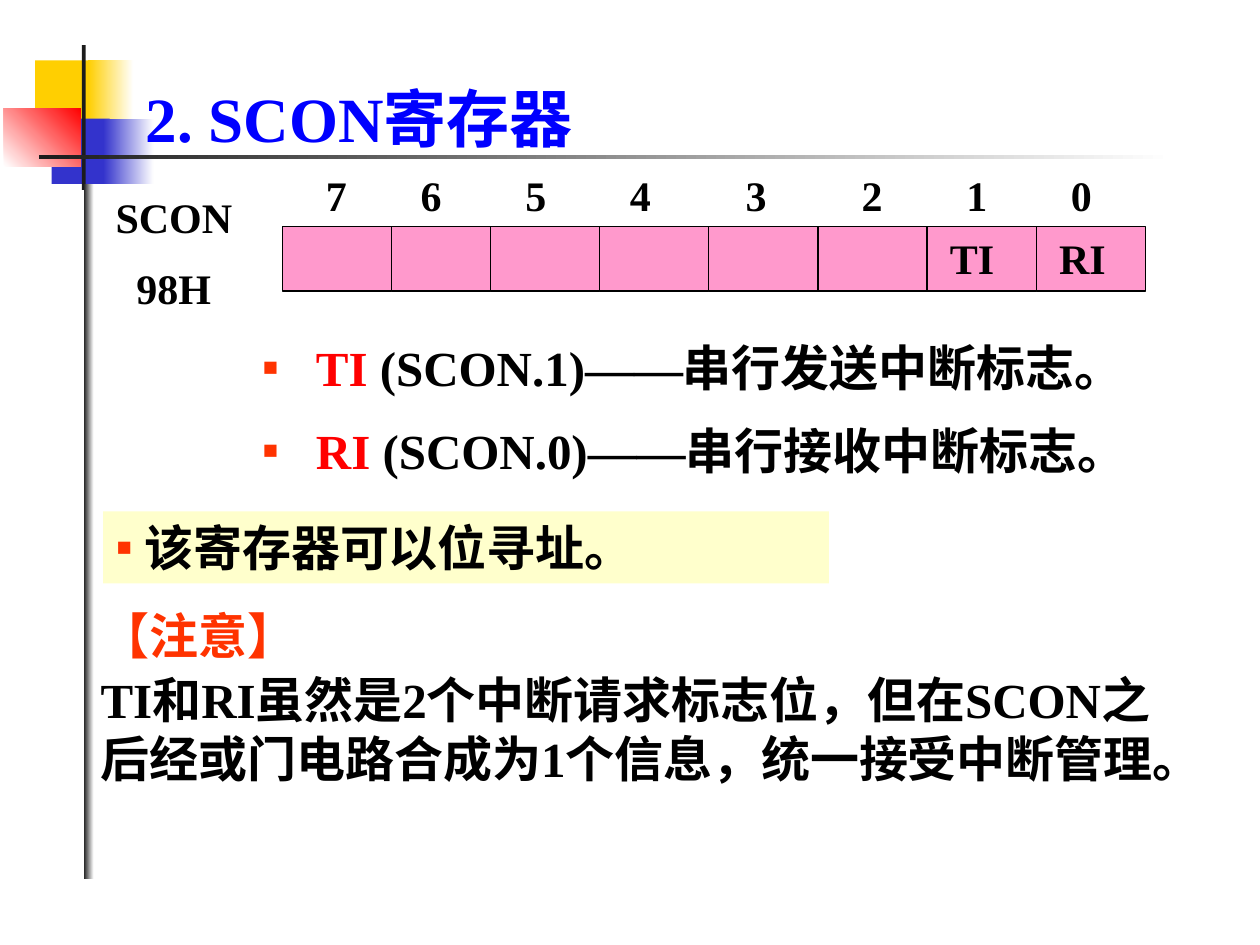
from itertools import accumulate

from lxml import etree
from pptx import Presentation
from pptx.dml.color import RGBColor
from pptx.enum.shapes import MSO_SHAPE
from pptx.enum.text import MSO_ANCHOR, PP_ALIGN
from pptx.oxml.ns import qn
from pptx.util import Cm, Pt

RECT = MSO_SHAPE.RECTANGLE
TOP, BOTTOM = MSO_ANCHOR.TOP, MSO_ANCHOR.BOTTOM
LEFT = PP_ALIGN.LEFT
LATIN, CJK = "Times New Roman", "Noto Sans CJK SC"
BLACK, WHITE, INK = "000000", "FFFFFF", "1C1C1C"
RED, BLUE, ORANGE = "FF0000", "0000FF", "FF3300"
GOLD, INDIGO, PINK, CREAM = "FFCF01", "3333CC", "FF99CC", "FFFFCC"

# Content: a paragraph is a list of (text, colour, font) runs
TITLE = [[("2. SCON寄存器", BLUE, LATIN)]]
REGISTER = [[("SCON", BLACK, LATIN)], [("98H", BLACK, LATIN)]]
BIT_NAMES = ["", "", "", "", "", "", "TI", "RI"]
FLAGS = [
    [("TI ", RED, LATIN), ("(SCON.1)——", BLACK, LATIN), ("串行发送中断标志。", BLACK, CJK)],
    [("RI ", RED, LATIN), ("(SCON.0)——", BLACK, LATIN), ("串行接收中断标志。", BLACK, CJK)],
]
ADDRESSING = [[("该寄存器可以位寻址。", BLACK, LATIN)]]
CAUTION = [
    [("【注意】", ORANGE, LATIN)],
    [("TI和RI虽然是2个中断请求标志位，但在SCON之后经或门电路合成为1个信息，"
      "统一接受中断管理。", BLACK, LATIN)],
]

# Decoration: left, top, width, height (cm), colours from start to end, angle
DECORATION = [
    (0.71, 1.22, 1.22, 1.32, [GOLD], 0),
    (1.78, 1.22, 0.91, 1.32, [GOLD, WHITE], 0),
    (1.04, 2.39, 1.17, 1.32, [INDIGO], 0),
    (2.08, 2.39, 1.02, 1.32, [INDIGO, WHITE], 0),
    (0.08, 2.18, 1.55, 1.17, [WHITE, RED], 45),
    (1.65, 0.91, 0.08, 2.92, [INK], 0),
    (0.79, 3.12, 22.86, 0.08, [INK, WHITE], 0),
    (1.69, 3.72, 0.2, 14, [INK, WHITE], 0),
]

# Register row (cm)
CELL_LEFT, CELL_TOP, CELL_HEIGHT = 5.69, 4.57, 1.3
CELL_WIDTHS = [2.2, 2.0] + [2.2] * 6
BIT_LEFTS = [6.32, 8.23, 10.34, 12.45, 14.78, 17.12, 19.23, 21.34]
BIT_TOP, BIT_SIZE = 3.3, 1.27


def rgb(value):
    return RGBColor.from_string(value)


def add_block(slide, box, colours, angle=0, line=None):
    block = slide.shapes.add_shape(RECT, *map(Cm, box))
    block.shadow.inherit = False
    if len(colours) == 1:
        block.fill.solid()
        block.fill.fore_color.rgb = rgb(colours[0])
    else:
        block.fill.gradient()
        block.fill.gradient_angle = angle
        for stop, colour in zip(block.fill.gradient_stops, colours):
            stop.color.rgb = rgb(colour)
    if line:
        block.line.color.rgb = rgb(line)
        block.line.width = Pt(0.75)
    else:
        block.line.fill.background()
    return block


def add_bullet(paragraph, hanging):
    properties = paragraph._p.get_or_add_pPr()
    properties.set("indent", str(-Cm(hanging)))
    colour = etree.SubElement(properties, qn("a:buClr"))
    etree.SubElement(colour, qn("a:srgbClr"), val=ORANGE)
    etree.SubElement(properties, qn("a:buFont"), typeface=LATIN)
    etree.SubElement(properties, qn("a:buChar"), char="▪")


def write(shape, paragraphs, size, gap=0.5, indents=(0, 0), bullet=False, anchor=TOP):
    """Fill a shape; gap is the space between paragraphs in parts of the size."""
    frame = shape.text_frame
    frame.word_wrap = True
    frame.vertical_anchor = anchor
    for index, runs in enumerate(paragraphs):
        paragraph = frame.add_paragraph() if index else frame.paragraphs[0]
        paragraph.alignment = LEFT
        if index:
            paragraph.space_before = Pt(size * gap)
        if indents[index]:
            paragraph._p.get_or_add_pPr().set("marL", str(Cm(indents[index])))
        if bullet:
            add_bullet(paragraph, indents[index])
        for text, colour, font in runs:
            run = paragraph.add_run()
            run.text = text
            run.font.size = Pt(size)
            run.font.bold = True
            run.font.name = font
            run.font.color.rgb = rgb(colour)
            east_asian = etree.SubElement(run._r.get_or_add_rPr(), qn("a:ea"))
            east_asian.set("typeface", CJK)


def add_text(slide, box, paragraphs, size, **options):
    write(slide.shapes.add_textbox(*map(Cm, box)), paragraphs, size, **options)


def main():
    deck = Presentation()
    deck.slide_width, deck.slide_height = Cm(25.4), Cm(19.05)
    slide = deck.slides.add_slide(deck.slide_layouts[6])

    for *box, colours, angle in DECORATION:
        add_block(slide, box, colours, angle)

    add_text(slide, (5.03, 6.68, 18.42, 3.23), FLAGS, 28, indents=(1.09, 1.09), bullet=True)

    # Register cells with their bit numbers above
    cell_lefts = accumulate(CELL_WIDTHS[:-1], initial=CELL_LEFT)
    for left, width, name in zip(cell_lefts, CELL_WIDTHS, BIT_NAMES):
        cell = add_block(slide, (left, CELL_TOP, width, CELL_HEIGHT), [PINK], line=BLACK)
        if name:
            write(cell, [[(name, BLACK, LATIN)]], 24, indents=(0.21,))
    add_text(slide, (2.08, 3.73, 3.18, 2.82), REGISTER, 24, indents=(0, 0.42))
    for bit, left in zip(range(7, -1, -1), BIT_LEFTS):
        add_text(slide, (left, BIT_TOP, BIT_SIZE, BIT_SIZE), [[(str(bit), BLACK, LATIN)]], 24)

    # Addressing note, title and caution
    note = add_block(slide, (2.08, 10.31, 14.63, 1.45), [CREAM])
    write(note, ADDRESSING, 28, indents=(0.58,), bullet=True)
    add_text(slide, (2.69, 1.12, 17.5, 2.13), TITLE, 36, anchor=BOTTOM)
    add_text(slide, (1.78, 12.09, 21.84, 5.16), CAUTION, 28, gap=0.1)

    deck.save("out.pptx")


if __name__ == "__main__":
    main()
